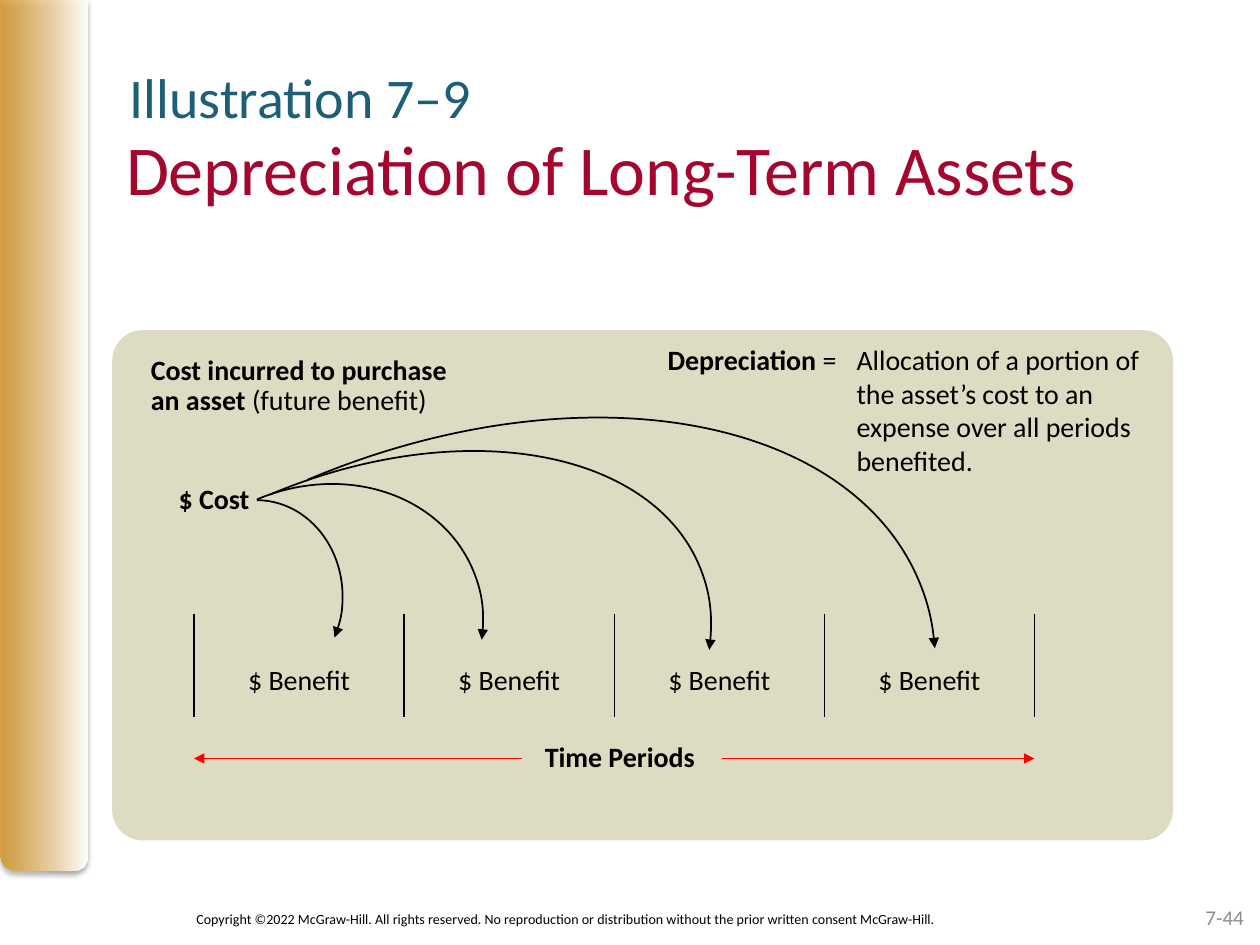
from collections import namedtuple

from lxml import etree
from pptx import Presentation
from pptx import util as u
from pptx.dml.color import RGBColor
from pptx.enum import shapes, text
from pptx.oxml.ns import qn

PX = u.Inches(1) // 100
FONT = "Calibri"
COLORS = {
    "gold": "D49323", "white": "FFFFFF", "black": "000000", "grey": "8C8C8C",
    "panel": "D4D0B0", "crimson": "A5062D", "teal": "1D5F76", "red": "FF0000",
}
Box = namedtuple("Box", "left top width height")


def color(name):
    """Return the named colour."""
    return RGBColor.from_string(COLORS[name])


def inside(box, left, top, width, height):
    """Return a box placed relative to an outer box."""
    return Box(box.left + left, box.top + top, width, height)


def emu(box):
    """Return the sides of a box in EMU."""
    return [round(side * PX) for side in box]


def assign(target, values):
    """Set attributes from a dict of format values."""
    for name, value in values.items():
        setattr(target, name, value)


def add_alpha(element, percent):
    """Make the colours below an element partly opaque."""
    for tint in element.iter(qn("a:srgbClr")):
        etree.SubElement(tint, qn("a:alpha"), val=str(percent * 1000))


def fill_text(shape, lines, size, tint="black", paragraph=None, frame=None):
    """Write lines of (wording, bold) spans into a shape."""
    body = shape.text_frame
    assign(body, {"word_wrap": True, **(frame or {})})
    for index, line in enumerate(lines):
        para = body.add_paragraph() if index else body.paragraphs[0]
        assign(para, paragraph or {})
        for wording, bold in line:
            span = para.add_run()
            span.text = wording
            assign(span.font, {"name": FONT, "size": u.Pt(size), "bold": bold})
            span.font.color.rgb = color(tint)


def add_text(page, box, lines, size, **options):
    """Add a text box and return it."""
    shape = page.shapes.add_textbox(*emu(box))
    fill_text(shape, lines, size, **options)
    return shape


def add_shape(page, kind, box, adjustments):
    """Add a preset shape without line or shadow."""
    shape = page.shapes.add_shape(kind, *emu(box))
    shape.shadow.inherit = False
    shape.line.fill.background()
    for index, value in enumerate(adjustments):
        shape.adjustments[index] = value
    return shape


def style_line(shape, tint, width, arrow=None):
    """Colour a line and give it an arrowhead."""
    shape.line.color.rgb = color(tint)
    shape.line.width = u.Pt(width)
    if arrow:
        etree.SubElement(shape.line._get_or_add_ln(), qn(arrow), type="triangle")


def add_line(page, box, start, end, tint, arrow=None):
    """Add a straight line between two points of a box."""
    ends = [round(side * PX) for x, y in (start, end)
            for side in (box.left + x, box.top + y)]
    line = page.shapes.add_connector(shapes.MSO_CONNECTOR.STRAIGHT, *ends)
    style_line(line, tint, 0.75, arrow)
    etree.SubElement(line._element.spPr, qn("a:effectLst"))


def add_sidebar(page, box):
    """Add the gold band with its soft shadow."""
    band = add_shape(page, shapes.MSO_SHAPE.ROUND_2_SAME_RECTANGLE, box, (0, 0.17))
    band.fill.gradient()
    band.fill.gradient_angle = 0
    for stop, tint, place in zip(band.fill.gradient_stops, ("gold", "white"), (0, 1)):
        stop.color.rgb = color(tint)
        stop.position = place
    properties = band._element.spPr
    add_alpha(properties.find(".//" + qn("a:gs")), 80)
    shadow = etree.SubElement(
        properties.find(qn("a:effectLst")), qn("a:outerShdw"),
        blurRad=str(u.Pt(3.1)), dist=str(u.Pt(1.8)), dir="5400000", rotWithShape="0")
    etree.SubElement(shadow, qn("a:srgbClr"), val=COLORS["black"])
    add_alpha(shadow, 35)


def add_header(page, box):
    """Place the title and the illustration number above it."""
    frame = {f"margin_{side}": 0 for side in ("left", "top", "right", "bottom")}
    frame.update(vertical_anchor=text.MSO_ANCHOR.TOP, auto_size=text.MSO_AUTO_SIZE.NONE)
    left = {"alignment": text.PP_ALIGN.LEFT}
    title = page.shapes.title
    sides = emu(inside(box, 0, 50, 900, 81))
    assign(title, dict(zip(("left", "top", "width", "height"), sides)))
    fill_text(title, [[("Depreciation of Long-Term Assets", False)]], 40,
              tint="crimson", paragraph=left, frame=frame)
    add_text(page, inside(box, 3, 0, 576, 46), [[("Illustration 7–9", False)]], 32,
             tint="teal", paragraph=left, frame=frame)


def add_captions(page, box):
    """Add the cost caption and the definition of depreciation."""
    tight = {"line_spacing": 0.9}
    add_text(page, inside(box, 21, 16, 264, 59),
             [[("Cost incurred to purchase", True)],
              [("an asset ", True), ("(future benefit)", False)]], 16, paragraph=tight)
    add_text(page, inside(box, 43, 118, 110, 35), [[("$ Cost", True)]], 16,
             paragraph=tight)
    definition = add_text(
        page, inside(box, 431, 5, 411, 118),
        [[("Depreciation", True),
          (" =\tAllocation of a portion of the asset’s cost to an expense "
           "over all periods benefited.", False)]], 16)
    indent = u.Inches(1.5)
    properties = definition.text_frame.paragraphs[0]._p.get_or_add_pPr()
    properties.set("marL", str(indent))
    properties.set("indent", str(-indent))


def add_timeline(page, box, periods=4):
    """Add the periods, their benefits and the time axis."""
    centred = {"alignment": text.PP_ALIGN.CENTER, "line_spacing": 0.9}
    step = box.width / periods
    for index in range(periods + 1):
        add_line(page, box, (index * step, 0), (index * step, 82), "black")
    for index in range(periods):
        add_text(page, inside(box, index * step, 37, step, 35),
                 [[("$ Benefit", False)]], 16, paragraph=centred)
    add_text(page, inside(box, 265, 98, 146, 35), [[("Time Periods", True)]], 16,
             paragraph=centred)
    for outer, inner in ((0, 260), (box.width, 419)):
        add_line(page, box, (outer, 115), (inner, 115), "red", "a:headEnd")


def add_arcs(page, box):
    """Add the curved arrows from the cost to each benefit."""
    arcs = (
        ((47, 135, 136, 153), 0, 16.69),
        ((25, 125, 272, 236), 337, 14.5),
        ((-95, 116, 584, 369), 337, 8.05),
        ((-158, 98, 831, 525), 337, 4.63),
    )
    for place, turn, end in arcs:
        arc = add_shape(page, shapes.MSO_SHAPE.ARC, inside(box, *place), (162, end))
        arc.rotation = turn
        arc.fill.background()
        style_line(arc, "black", 1, "a:tailEnd")


def add_diagram(page, box):
    """Add the panel that shows cost spread over periods."""
    panel = add_shape(page, shapes.MSO_SHAPE.ROUNDED_RECTANGLE, box, (0.06,))
    panel.fill.solid()
    panel.fill.fore_color.rgb = color("panel")
    add_alpha(panel._element.spPr, 75)
    add_captions(page, box)
    add_timeline(page, inside(box, 65, 225, 667, 82))
    add_arcs(page, box)


def add_footer(page, box):
    """Add the copyright line and the page number."""
    add_text(page, inside(box, 0, 10, 763, 24),
             [[("Copyright ©2022 McGraw-Hill. All rights reserved. No reproduction or "
                "distribution without the prior written consent McGraw-Hill.", False)]], 8)
    add_text(page, inside(box, 618, 0, 233, 40), [[("7-44", False)]], 12, tint="grey",
             paragraph={"alignment": text.PP_ALIGN.RIGHT},
             frame={"vertical_anchor": text.MSO_ANCHOR.MIDDLE})


def main():
    """Build and save the deck."""
    deck = Presentation()
    assign(deck, {"slide_width": 1000 * PX, "slide_height": 750 * PX})
    page = deck.slides.add_slide(deck.slide_layouts[5])
    add_sidebar(page, Box(0, 0, 69, 691))
    add_footer(page, Box(146, 708, 851, 40))
    add_header(page, Box(100, 50, 900, 131))
    add_diagram(page, Box(89, 262, 842, 405))
    deck.save("out.pptx")


if __name__ == "__main__":
    main()
